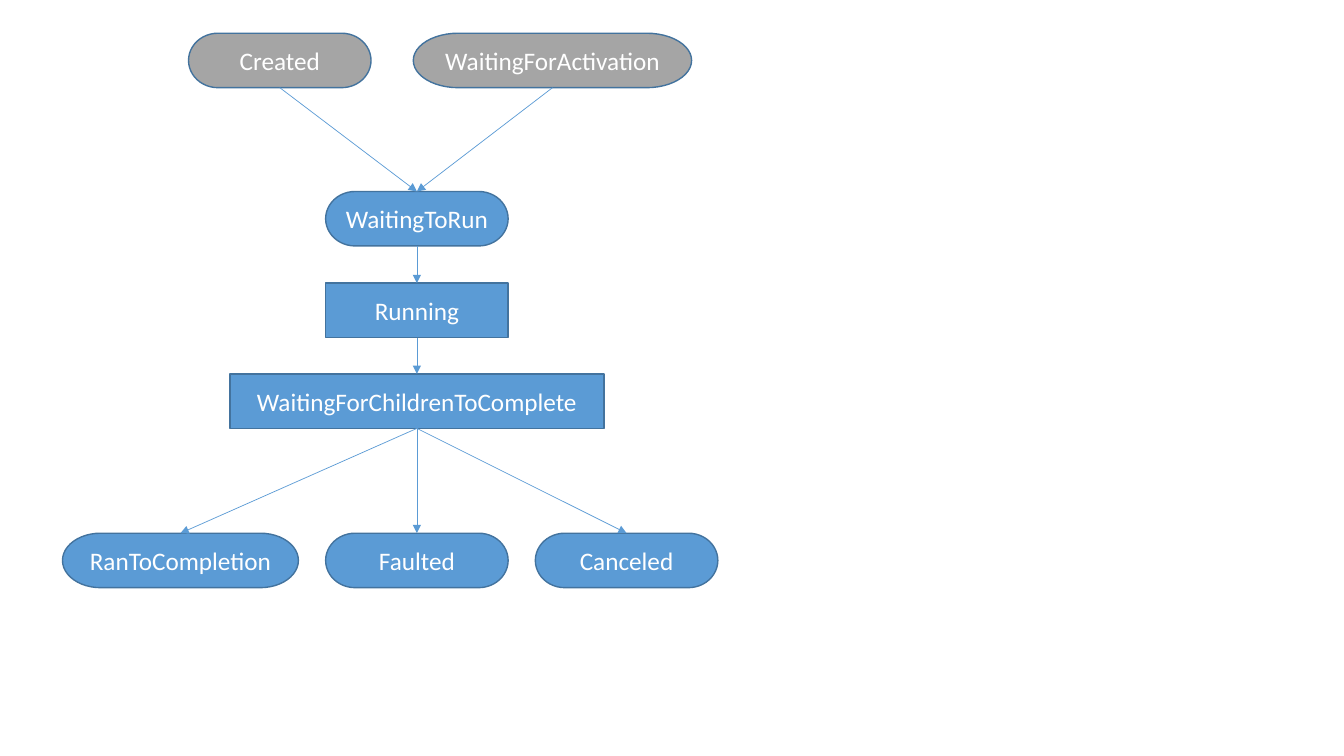
import pptx
import pptx.util
import pptx.dml.color
import pptx.enum.shapes
import pptx.enum.text
import pptx.oxml.ns
import lxml.etree
from dataclasses import dataclass

Inches = pptx.util.Inches
Pt = pptx.util.Pt
Color = pptx.dml.color.RGBColor.from_string
Preset = pptx.enum.shapes.MSO_SHAPE


@dataclass
class Theme:
    initial: str = "A5A5A5"
    state: str = "5B9BD5"
    outline: str = "43739E"
    arrow: str = "5B9BD5"
    text: str = "FFFFFF"
    font: str = "Calibri"
    text_size: float = 18
    outline_width: float = 1
    arrow_width: float = 0.5


theme = Theme()
presentation = pptx.Presentation()
presentation.slide_width = Inches(13.33)
presentation.slide_height = Inches(7.5)
slide = presentation.slides.add_slide(presentation.slide_layouts[6])

state_height = 0.54
top_site, bottom_site = 0, 2
terminator = Preset.FLOWCHART_TERMINATOR
process = Preset.FLOWCHART_PROCESS

states = [
    ("Created", terminator, 1.87, 0.33, 1.81, theme.initial),
    ("WaitingForActivation", terminator, 4.1, 0.33, 2.76, theme.initial),
    ("WaitingToRun", terminator, 3.23, 1.9, 1.81, theme.state),
    ("Running", process, 3.23, 2.81, 1.81, theme.state),
    ("WaitingForChildrenToComplete", process, 2.28, 3.71, 3.71, theme.state),
    ("RanToCompletion", terminator, 0.62, 5.29, 2.34, theme.state),
    ("Faulted", terminator, 3.23, 5.29, 1.81, theme.state),
    ("Canceled", terminator, 5.31, 5.29, 1.81, theme.state),
]

transitions = [
    ("Created", "WaitingToRun"),
    ("WaitingForActivation", "WaitingToRun"),
    ("WaitingToRun", "Running"),
    ("Running", "WaitingForChildrenToComplete"),
    ("WaitingForChildrenToComplete", "RanToCompletion"),
    ("WaitingForChildrenToComplete", "Faulted"),
    ("WaitingForChildrenToComplete", "Canceled"),
]

state_shapes = {}
for name, preset, left, top, width, fill in states:
    shape = slide.shapes.add_shape(
        preset, Inches(left), Inches(top), Inches(width), Inches(state_height))
    shape.shadow.inherit = False
    shape.fill.solid()
    shape.fill.fore_color.rgb = Color(fill)
    shape.line.color.rgb = Color(theme.outline)
    shape.line.width = Pt(theme.outline_width)
    shape.text_frame.word_wrap = True
    shape.text_frame.vertical_anchor = pptx.enum.text.MSO_ANCHOR.MIDDLE
    paragraph = shape.text_frame.paragraphs[0]
    paragraph.alignment = pptx.enum.text.PP_ALIGN.CENTER
    run = paragraph.add_run()
    run.text = name
    run.font.name = theme.font
    run.font.size = Pt(theme.text_size)
    run.font.color.rgb = Color(theme.text)
    state_shapes[name] = shape

for source, target in transitions:
    connector = slide.shapes.add_connector(
        pptx.enum.shapes.MSO_CONNECTOR.STRAIGHT, 0, 0, 0, 0)
    connector.begin_connect(state_shapes[source], bottom_site)
    connector.end_connect(state_shapes[target], top_site)
    connector.line.color.rgb = Color(theme.arrow)
    connector.line.width = Pt(theme.arrow_width)
    properties = connector.element.spPr
    line = properties.find(pptx.oxml.ns.qn("a:ln"))
    lxml.etree.SubElement(line, pptx.oxml.ns.qn("a:tailEnd"), type="triangle")
    lxml.etree.SubElement(properties, pptx.oxml.ns.qn("a:effectLst"))

presentation.save("out.pptx")
